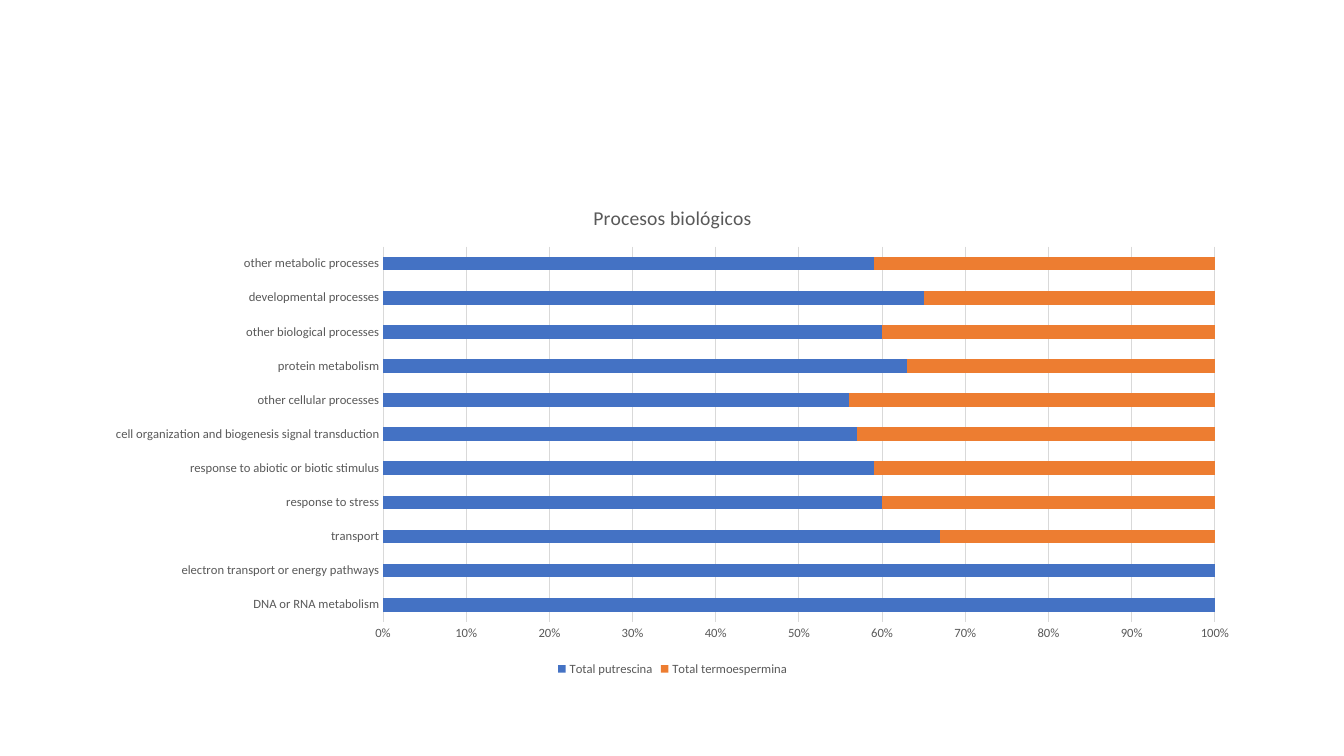
from pptx import Presentation
from pptx.chart.data import CategoryChartData
from pptx.dml.color import RGBColor
from pptx.enum.chart import XL_CHART_TYPE, XL_LEGEND_POSITION, XL_TICK_MARK
from pptx.util import Inches, Pt

STACKED = XL_CHART_TYPE.BAR_STACKED_100
BOTTOM = XL_LEGEND_POSITION.BOTTOM
NO_TICK = XL_TICK_MARK.NONE
FACE = "Calibri"
COLORS = {"text": "595959", "grid": "D9D9D9",
          "Total putrescina": "4472C4", "Total termoespermina": "ED7D31"}

# Share of putrescina in percent, from the bottom bar up
SHARES = {
    "DNA or RNA metabolism": 100,
    "electron transport or energy pathways": 100,
    "transport": 67,
    "response to stress": 60,
    "response to abiotic or biotic stimulus": 59,
    "cell organization and biogenesis signal transduction": 57,
    "other cellular processes": 56,
    "protein metabolism": 63,
    "other biological processes": 60,
    "developmental processes": 65,
    "other metabolic processes": 59,
}


def color(name):
    return RGBColor.from_string(COLORS[name])


def style(font, size):
    font.name = FACE
    font.size = Pt(size)
    font.bold = False
    font.color.rgb = color("text")


prs = Presentation()
prs.slide_width = Inches(13.33)
prs.slide_height = Inches(7.5)
slide = prs.slides.add_slide(prs.slide_layouts[6])

data = CategoryChartData()
data.categories = list(SHARES)
data.add_series("Total putrescina", list(SHARES.values()))
data.add_series("Total termoespermina", [100 - share for share in SHARES.values()])

frame = slide.shapes.add_chart(STACKED, Inches(0.92), Inches(1.84),
                               Inches(11.5), Inches(4.91), data)
chart = frame.chart
style(chart.font, 10)

# Title and legend
chart.has_title = True
title = chart.chart_title
title.include_in_layout = False
run = title.text_frame.paragraphs[0].add_run()
run.text = "Procesos biológicos"
style(run.font, 14)

chart.has_legend = True
legend = chart.legend
legend.position = BOTTOM
legend.include_in_layout = False
style(legend.font, 9)

# Bars
plot = chart.plots[0]
plot.gap_width = 150
plot.overlap = 100
plot.vary_by_categories = False
for series in plot.series:
    series.format.fill.solid()
    series.format.fill.fore_color.rgb = color(series.name)

# Axes
names = chart.category_axis
values = chart.value_axis
for axis in (names, values):
    axis.major_tick_mark = NO_TICK
    axis.minor_tick_mark = NO_TICK
    style(axis.tick_labels.font, 9)

values.minimum_scale = 0
values.maximum_scale = 1
values.major_unit = 0.1
values.tick_labels.number_format = "0%"
values.tick_labels.number_format_is_linked = False
values.format.line.fill.background()
values.has_major_gridlines = True
for line in (names.format.line, values.major_gridlines.format.line):
    line.width = Pt(0.75)
    line.color.rgb = color("grid")

prs.save("out.pptx")
